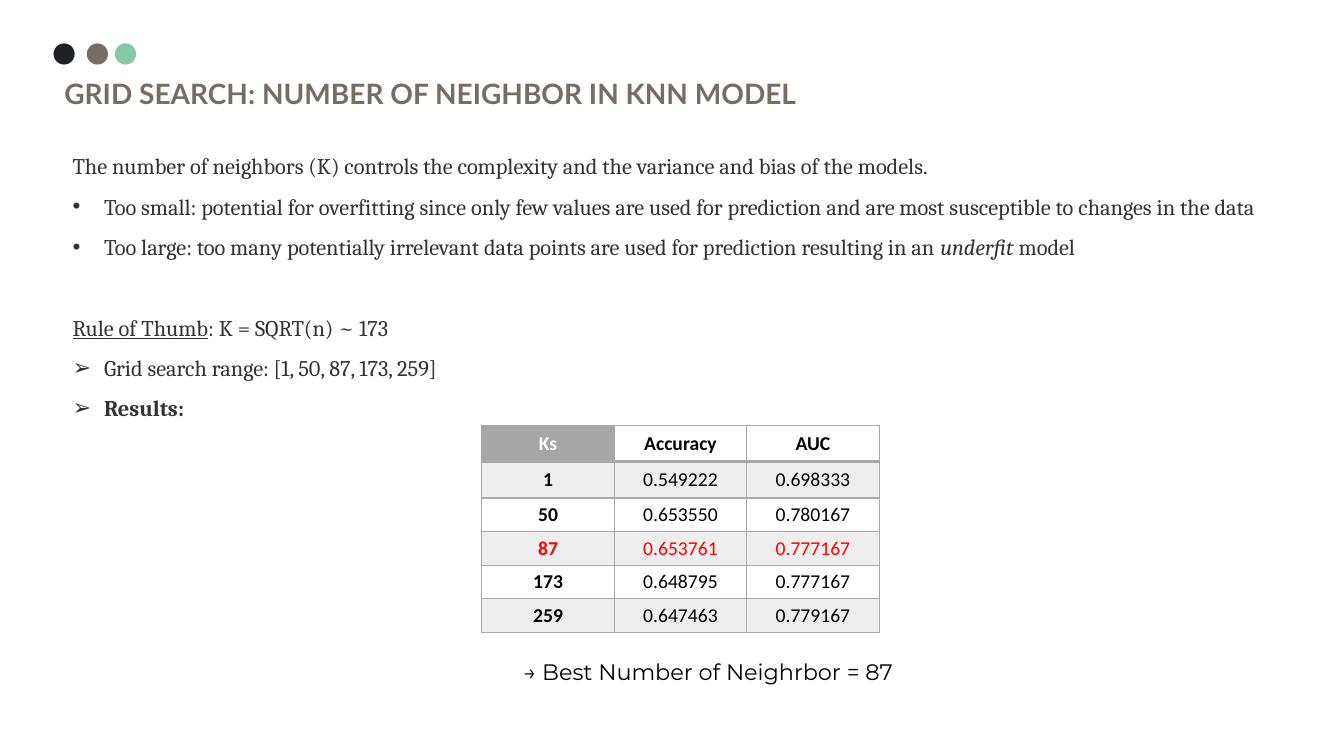
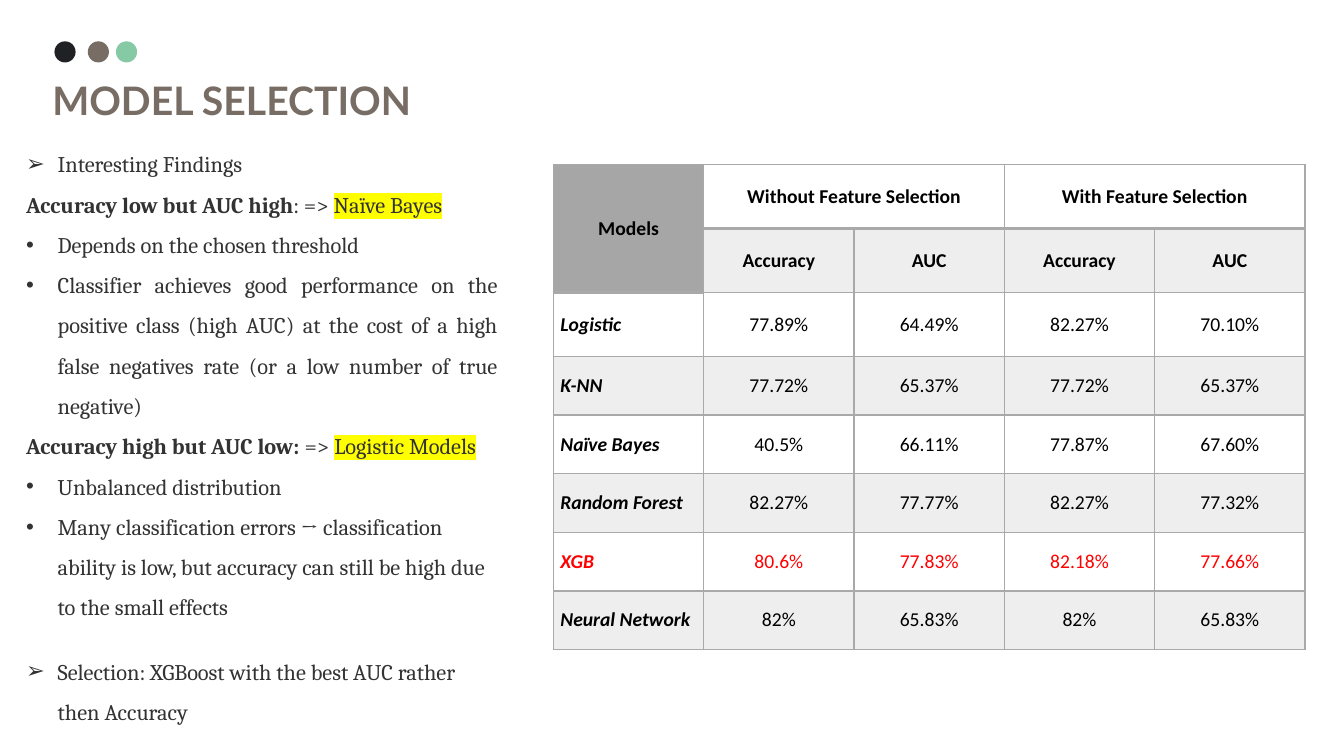
"""Build two slides on tuning and selecting classification models."""
from lxml.etree import SubElement
from pptx import Presentation
from pptx.dml.color import RGBColor
from pptx.enum.shapes import MSO_SHAPE
from pptx.enum.text import MSO_ANCHOR, MSO_AUTO_SIZE, PP_ALIGN
from pptx.oxml.ns import qn
from pptx.util import Pt

COLORS = {
    "dark": "202125", "taupe": "776D64", "green": "86C9A5", "text": "333333",
    "black": "000000", "white": "FFFFFF", "red": "FF0000", "yellow": "FFFF00",
    "head": "A6A6A6", "band": "EEEEEE", "border": "A9A9A9",
}
DOTS = [("dark", 0), ("taupe", 23.8), ("green", 43.9)]
DOT_SIZE = 15.1
HANGING = 22.5
DOT, ARROW = "•", "➢"
LEFT, CENTER, JUSTIFY = PP_ALIGN.LEFT, PP_ALIGN.CENTER, PP_ALIGN.JUSTIFY

NEIGHBOR_NOTES = [
    (None, LEFT, 0, [("The number of neighbors (K) controls the complexity and the variance "
                      "and bias of the models.", "")]),
    (DOT, LEFT, 0, [("Too small: potential for overfitting since only few values are used for "
                     "prediction and are most susceptible to changes in the data", "")]),
    (DOT, LEFT, 0, [("Too large: too many potentially irrelevant data points are used for "
                     "prediction resulting in an ", ""), ("underfit", "i"), (" model", "")]),
    (None, LEFT, 28.8, [("Rule of Thumb", "u"), (": K = SQRT(n) ~ 173", "")]),
    (ARROW, LEFT, 0, [("Grid search range: [1, 50, 87, 173, 259]", "")]),
    (ARROW, LEFT, 0, [("Results:", "b")]),
]
NEIGHBOR_RESULTS = [
    ("Ks", "Accuracy", "AUC"),
    ("1", "0.549222", "0.698333"),
    ("50", "0.653550", "0.780167"),
    ("87", "0.653761", "0.777167"),
    ("173", "0.648795", "0.777167"),
    ("259", "0.647463", "0.779167"),
]
BEST_K = [(None, JUSTIFY, 0, [("→ Best Number of Neighrbor = 87", "")])]

FINDINGS = [
    (ARROW, JUSTIFY, 0, [("Interesting Findings", "")]),
    (None, JUSTIFY, 0, [("Accuracy low but AUC high", "b"), (": => ", ""), ("Naïve Bayes", "h")]),
    (DOT, JUSTIFY, 0, [("Depends on the chosen threshold", "")]),
    (DOT, JUSTIFY, 0, [("Classifier achieves good performance on the positive class (high AUC) at "
                        "the cost of a high false negatives rate (or a low number of true "
                        "negative)", "")]),
    (None, JUSTIFY, 0, [("Accuracy high but AUC low: ", "b"), ("=> ", ""),
                        ("Logistic Models", "h")]),
    (DOT, LEFT, 0, [("Unbalanced distribution", "")]),
    (DOT, LEFT, 0, [("Many classification errors → classification ability is low, but accuracy "
                     "can still be high due to the small effects", "")]),
    (ARROW, LEFT, 17, [("Selection: XGBoost with the best AUC rather then Accuracy", "")]),
]
MODEL_RESULTS = [
    ("Models", "Without Feature Selection", None, "With Feature Selection", None),
    (None, "Accuracy", "AUC", "Accuracy", "AUC"),
    ("Logistic", "77.89%", "64.49%", "82.27%", "70.10%"),
    ("K-NN", "77.72%", "65.37%", "77.72%", "65.37%"),
    ("Naïve Bayes", "40.5%", "66.11%", "77.87%", "67.60%"),
    ("Random Forest", "82.27%", "77.77%", "82.27%", "77.32%"),
    ("XGB", "80.6%", "77.83%", "82.18%", "77.66%"),
    ("Neural Network", "82%", "65.83%", "82%", "65.83%"),
]
MODEL_SPANS = [((0, 0), (1, 0)), ((0, 1), (0, 2)), ((0, 3), (0, 4))]


def rgb(name):
    return RGBColor.from_string(COLORS[name])


def style(r, font, size, color, flags=""):
    f = r.font
    f.name, f.size = font, Pt(size)
    f.color.rgb = rgb(color)
    f.bold, f.italic, f.underline = "b" in flags, "i" in flags, "u" in flags
    if "h" in flags:
        rPr = r._r.get_or_add_rPr()
        mark = SubElement(rPr, qn("a:highlight"))
        SubElement(mark, qn("a:srgbClr"), val=COLORS["yellow"])
        rPr.find(qn("a:solidFill")).addnext(mark)


def place(sp, left, top, width, height):
    sp.left, sp.top, sp.width, sp.height = Pt(left), Pt(top), Pt(width), Pt(height)


def set_bullet(p, char):
    pPr = p._p.get_or_add_pPr()
    indent = Pt(HANGING) if char else 0
    pPr.set("marL", str(indent))
    pPr.set("indent", str(-indent))
    if char:
        SubElement(pPr, qn("a:buFont"), typeface="Arial")
        SubElement(pPr, qn("a:buChar"), char=char)
    else:
        SubElement(pPr, qn("a:buNone"))


def fill_text(sp, paragraphs, font, color):
    tf = sp.text_frame
    tf.word_wrap, tf.auto_size = True, MSO_AUTO_SIZE.NONE
    tf.vertical_anchor = MSO_ANCHOR.TOP
    for i, (bullet, align, before, runs) in enumerate(paragraphs):
        p = tf.add_paragraph() if i else tf.paragraphs[0]
        set_bullet(p, bullet)
        p.alignment, p.line_spacing = align, 1.5
        p.space_before, p.space_after = Pt(before), Pt(0)
        for text, flags in runs:
            r = p.add_run()
            r.text = text
            style(r, font, 16, color, flags)


def add_base(prs, title, title_box, title_size, dots_at, notes, notes_box):
    s = prs.slides.add_slide(prs.slide_layouts[1])
    place(s.shapes.title, *title_box)
    tf = s.shapes.title.text_frame
    tf.text = title
    tf.word_wrap, tf.auto_size = True, MSO_AUTO_SIZE.NONE
    tf.vertical_anchor = MSO_ANCHOR.TOP
    tf.margin_left = tf.margin_right = Pt(5)
    tf.margin_top = tf.margin_bottom = Pt(2.9)
    p = tf.paragraphs[0]
    p.alignment, p.line_spacing = LEFT, 0.9
    style(p.runs[0], "Lato", title_size, "taupe", "b")
    left, top = dots_at
    for color, offset in DOTS:
        dot = s.shapes.add_shape(MSO_SHAPE.OVAL, Pt(left + offset), Pt(top),
                                 Pt(DOT_SIZE), Pt(DOT_SIZE))
        dot.shadow.inherit = False
        dot.fill.solid()
        dot.fill.fore_color.rgb = rgb(color)
        dot.line.fill.background()
    body = s.placeholders[1]
    place(body, *notes_box)
    fill_text(body, notes, "Cambria", "text")
    return s


def set_borders(cell, bottom):
    tcPr = cell._tc.get_or_add_tcPr()
    for i, (side, width) in enumerate([("lnL", 1), ("lnR", 1), ("lnT", 1), ("lnB", bottom)]):
        ln = tcPr.makeelement(qn(f"a:{side}"), {"w": str(Pt(width))})
        SubElement(SubElement(ln, qn("a:solidFill")), qn("a:srgbClr"), val=COLORS["border"])
        tcPr.insert(i, ln)


def add_grid(s, rows, left, top, col_width, heights, best,
             head_rows=1, corner="black", label_align=CENTER, label_flags="b", spans=()):
    n_cols = len(rows[0])
    table = s.shapes.add_table(len(rows), n_cols, Pt(left), Pt(top),
                               Pt(col_width * n_cols), Pt(sum(heights))).table
    table.first_row = table.horz_banding = False
    for col in table.columns:
        col.width = Pt(col_width)
    for i, (row, height) in enumerate(zip(rows, heights)):
        table.rows[i].height = Pt(height)
        for j, text in enumerate(row):
            cell = table.cell(i, j)
            is_corner, is_head = i == j == 0, i < head_rows
            fill = "head" if is_corner else "band" if i % 2 else None
            if fill:
                cell.fill.solid()
                cell.fill.fore_color.rgb = rgb(fill)
            else:
                cell.fill.background()
            set_borders(cell, 1 if i else 2)
            cell.vertical_anchor = MSO_ANCHOR.MIDDLE
            cell.margin_left = cell.margin_right = Pt(5)
            cell.margin_top = cell.margin_bottom = 0
            if text is None:
                continue
            cell.text_frame.text = text
            p = cell.text_frame.paragraphs[0]
            is_label = j == 0 and not is_head
            p.alignment = label_align if is_label else CENTER
            color = corner if is_corner else "red" if row[0] == best else "black"
            flags = label_flags if is_label else "b" if is_head else ""
            style(p.runs[0], "Calibri", 14, color, flags)
    for start, end in spans:
        table.cell(*start).merge(table.cell(*end))


def main():
    prs = Presentation()
    prs.slide_width, prs.slide_height = Pt(960), Pt(540)

    s = add_base(prs, "GRID SEARCH: NUMBER OF NEIGHBOR IN KNN MODEL", (41, 54.7, 558.7, 21),
                 20, (38.2, 31), NEIGHBOR_NOTES, (44.6, 95.8, 883.4, 208))
    add_grid(s, NEIGHBOR_RESULTS, 344.2, 303.8, 94.6, [26] * 2 + [24] * 4, "87", corner="white")
    sp = s.shapes.add_textbox(Pt(366.5), Pt(457.2), Pt(502.6), Pt(33))
    fill_text(sp, BEST_K, "Montserrat", "black")

    s = add_base(prs, "MODEL SELECTION", (32.4, 55.4, 291.6, 21),
                 28, (38.9, 29.5), FINDINGS, (11.5, 94.3, 351.4, 440))
    add_grid(s, MODEL_RESULTS, 395.3, 117.4, 107.4, [45.7] * 3 + [41.9] * 5, "XGB",
             head_rows=2, label_align=LEFT, label_flags="bi", spans=MODEL_SPANS)
    prs.save("out.pptx")


if __name__ == "__main__":
    main()
